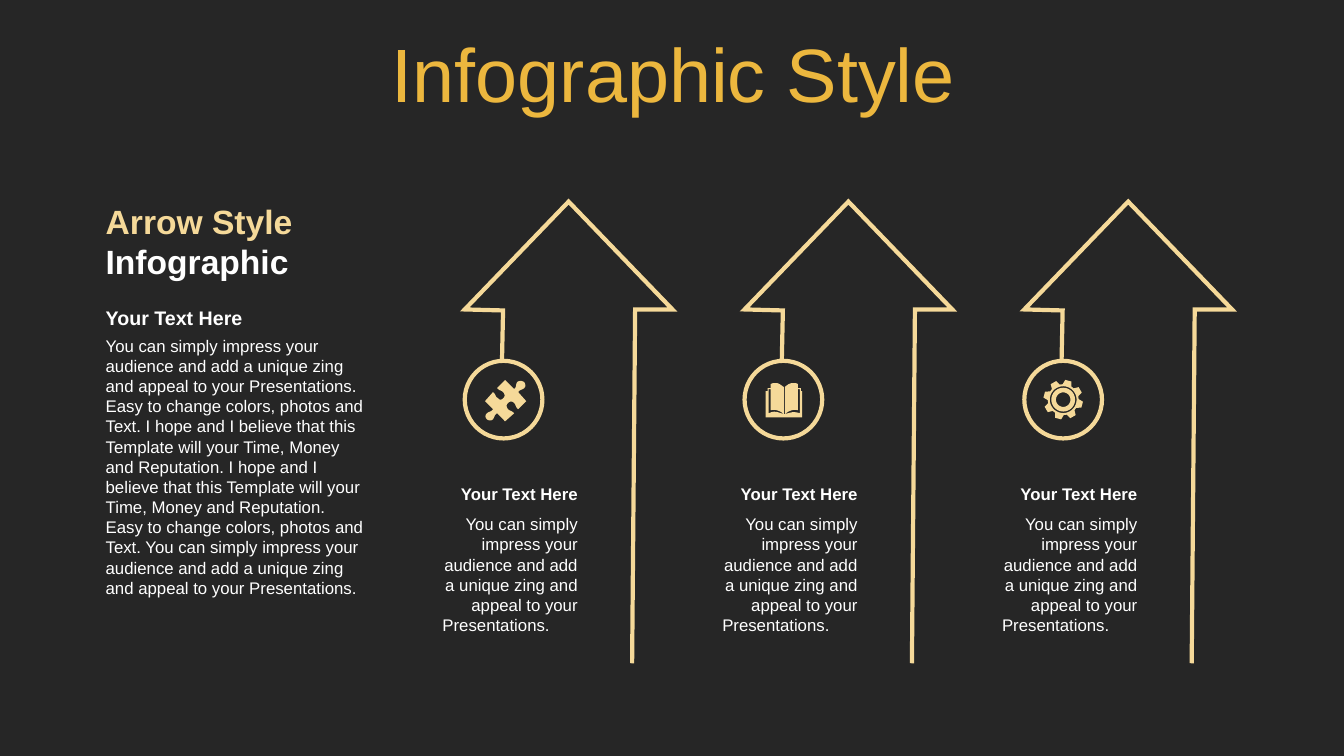
"""Build a dark slide with three outlined arrows, each with an icon and a note."""
from dataclasses import dataclass
from math import cos, radians, sin

from lxml import etree
from pptx import Presentation, util as u
from pptx.dml.color import RGBColor
from pptx.enum import shapes, text
from pptx.oxml.ns import qn


@dataclass(frozen=True)
class Theme:
    font: str = "Arial"
    back: str = "262626"
    gold: str = "ECB73E"
    sand: str = "F5D999"
    white: str = "FFFFFF"
    huge: int = 54
    large: int = 24
    head: int = 14
    body: int = 12
    line: int = 3


THEME = Theme()
TITLE = "Infographic Style"
LABEL = "Your Text Here"
NAME = ("Arrow Style ", "Infographic")
STORY = (
    "You can simply impress your audience and add a unique zing and appeal to "
    "your Presentations. Easy to change colors, photos and Text. I hope and I "
    "believe that this Template will your Time, Money and Reputation. I hope and "
    "I believe that this Template will your Time, Money and Reputation. Easy to "
    "change colors, photos and Text. You can simply impress your audience and "
    "add a unique zing and appeal to your Presentations."
)
NOTE = "You can simply impress your audience and add a unique zing and appeal to your"
NOTE_END = "Presentations."

ARROW = [(37, 156), (38, 108), (0, 107), (103, 0), (206, 107), (169, 107), (166, 458)]
PUZZLE = [
    (59, 21), (60, 23, 61, 25, 59, 27), (57, 29, 55, 28, 53, 31), (61, 40), (53, 48),
    (50, 46, 51, 43, 48, 41), (47, 40, 44, 40, 43, 42), (41, 43, 41, 46, 43, 48),
    (45, 50, 46, 49, 49, 52), (40, 60), (32, 52), (29, 54, 30, 55, 28, 58),
    (26, 60, 23, 59, 22, 58), (20, 56, 20, 54, 22, 52), (24, 50, 26, 51, 28, 48),
    (20, 40), (28, 31), (31, 33, 30, 36, 33, 37), (34, 39, 37, 39, 38, 37),
    (40, 36, 40, 33, 38, 31), (36, 29, 35, 30, 32, 27), (40, 19), (49, 28),
    (52, 25, 50, 24, 52, 21), (55, 19, 57, 20, 59, 21),
]
BOOK = [
    (39, 53), (40, 53), (46, 51, 49, 50, 55, 52), (55, 28), (53, 28), (53, 49),
    (49, 48, 44, 49, 40, 53), (40, 26), (42, 24, 45, 22, 48, 22),
    (50, 22, 51, 22, 53, 23), (53, 27), (56, 27), (56, 30), (57, 30), (57, 56),
    (21, 56), (21, 30), (23, 30), (23, 27), (26, 27), (26, 23),
    (28, 22, 29, 22, 31, 22), (34, 22, 36, 24, 39, 26), (39, 53),
    (35, 49, 30, 48, 26, 49), (26, 28), (24, 28), (24, 52), (30, 49, 33, 51, 39, 53),
]
HUB = (38.5, 38.5)
RINGS = (7.2, 11.8, 13.3)
TOOTH = ((-17, 15.3), (-9, 19.7), (9, 19.7), (17, 15.3))
TEETH = 8

LEFT, PITCH, TOP = 4.61, 2.775, 2.0
RING_TOP, RING = 3.58, 0.77


def polar(angle, size):
    return HUB[0] + size * cos(radians(angle)), HUB[1] + size * sin(radians(angle))


def gear():
    step = 360 / TEETH
    rim = [polar(15 + step * i + turn, size) for i in range(TEETH) for turn, size in TOOTH]
    return [rim] + [[polar(a, size) for a in range(0, 360, 10)] for size in RINGS]


def flatten(path, steps=6):
    points = [path[0]]
    for part in path[1:]:
        if len(part) == 2:
            points.append(part)
            continue
        knots = [points[-1], part[:2], part[2:4], part[4:]]
        for i in range(1, steps + 1):
            t = i / steps
            share = ((1 - t) ** 3, 3 * t * (1 - t) ** 2, 3 * t * t * (1 - t), t ** 3)
            points.append(tuple(sum(s * k[axis] for s, k in zip(share, knots)) for axis in (0, 1)))
    return points


def outline(slide, paths, left, top, close):
    spots = [
        [(u.Inches(left + x / 100), u.Inches(top + y / 100)) for x, y in flatten(path)]
        for path in paths
    ]
    pen = slide.shapes.build_freeform(*spots[0][0], scale=1.0)
    for i, points in enumerate(spots):
        if i:
            pen.move_to(*points[0])
        pen.add_line_segments(points[1:], close=close)
    return pen.convert_to_shape()


def stroke(shape):
    shape.shadow.inherit = False
    shape.fill.background()
    shape.line.color.rgb = RGBColor.from_string(THEME.sand)
    shape.line.width = u.Pt(THEME.line)
    etree.SubElement(shape.line._get_or_add_ln(), qn("a:miter"), lim="800000")


def paint(shape):
    shape.shadow.inherit = False
    shape.fill.solid()
    shape.fill.fore_color.rgb = RGBColor.from_string(THEME.sand)
    shape.line.fill.background()


def write(slide, area, lines, size, bold=False, align=text.PP_ALIGN.LEFT):
    frame = slide.shapes.add_textbox(*map(u.Inches, area)).text_frame
    frame.word_wrap = True
    for i, runs in enumerate(lines):
        para = frame.paragraphs[0] if i == 0 else frame.add_paragraph()
        para.alignment = align
        for words, color in runs:
            run = para.add_run()
            run.text = words
            run.font.name, run.font.size, run.font.bold = THEME.font, u.Pt(size), bold
            run.font.color.rgb = RGBColor.from_string(color)
    return frame


def column(slide, index, icon):
    left = LEFT + PITCH * index
    stroke(outline(slide, [ARROW], left, TOP, False))
    area = map(u.Inches, (left, RING_TOP, RING, RING))
    stroke(slide.shapes.add_shape(shapes.MSO_SHAPE.OVAL, *area))
    paint(outline(slide, icon, left, RING_TOP, True))
    right = text.PP_ALIGN.RIGHT
    side = left - 0.41
    lines = [[(NOTE, THEME.white)], [(NOTE_END, THEME.white)]]
    frame = write(slide, (side, 5.05, 1.63, 1.31), lines, THEME.body, align=right)
    last = frame.paragraphs[-1]
    last.alignment = text.PP_ALIGN.LEFT
    last._p.get_or_add_pPr().set("marL", str(u.Inches(0.09)))
    write(slide, (side, 4.75, 1.63, 0.3), [[(LABEL, THEME.white)]], THEME.body, True, right)


def main():
    deck = Presentation()
    deck.slide_width, deck.slide_height = u.Inches(13.33), u.Inches(7.5)
    slide = deck.slides.add_slide(deck.slide_layouts[6])
    slide.background.fill.solid()
    slide.background.fill.fore_color.rgb = RGBColor.from_string(THEME.back)
    title = write(slide, (0.35, 0.31, 12.66, 0.92), [[(TITLE, THEME.gold)]],
                  THEME.huge, align=text.PP_ALIGN.CENTER)
    title.vertical_anchor = text.MSO_ANCHOR.MIDDLE
    title.paragraphs[0].line_spacing = 0.9
    for index, icon in enumerate(([PUZZLE], [BOOK], gear())):
        column(slide, index, icon)
    write(slide, (0.95, 2.99, 2.54, 0.34), [[(LABEL, THEME.white)]], THEME.head, True)
    write(slide, (0.95, 3.28, 2.76, 2.73), [[(STORY, THEME.white)]], THEME.body)
    name = list(zip(NAME, (THEME.sand, THEME.white)))
    write(slide, (0.95, 1.94, 2.76, 0.91), [name], THEME.large, True)
    deck.save("out.pptx")


if __name__ == "__main__":
    main()
